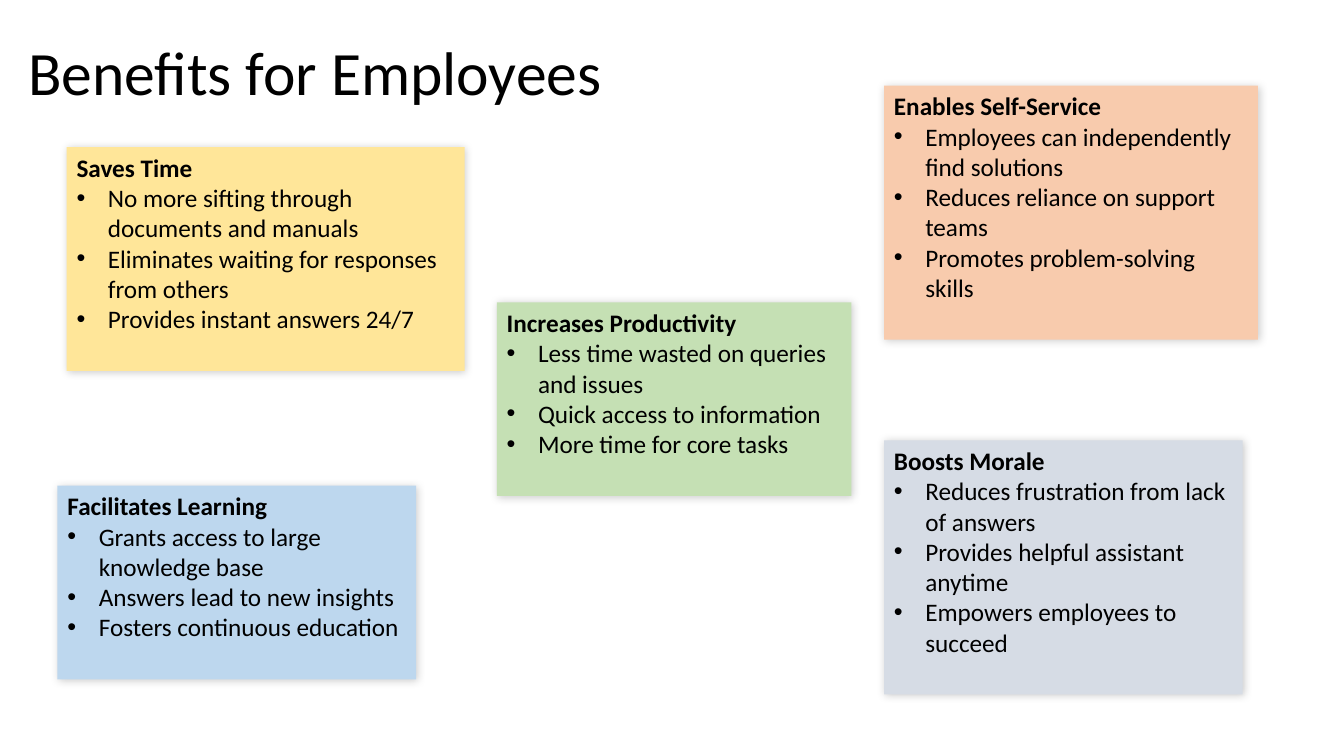
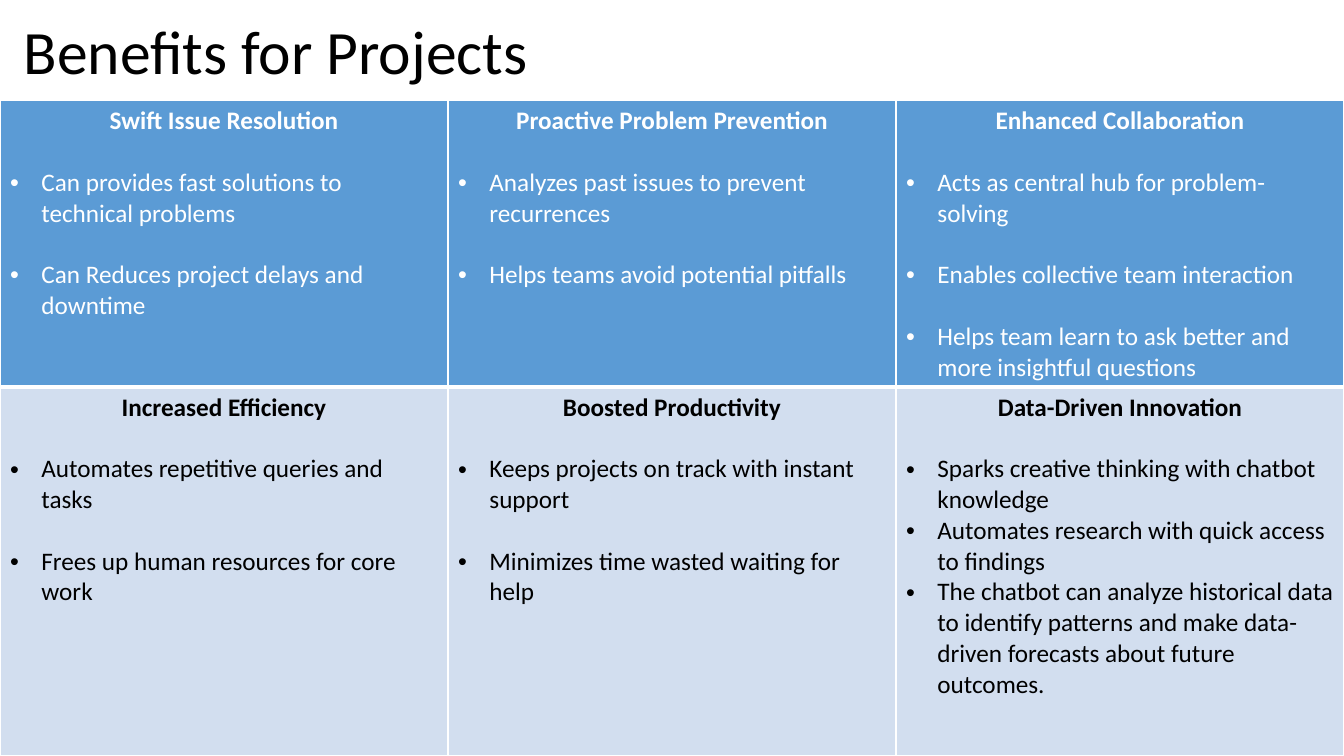
from lxml.etree import SubElement
from pptx import Presentation
from pptx.dml.color import RGBColor
from pptx.enum.shapes import MSO_SHAPE
from pptx.enum.text import MSO_ANCHOR, PP_ALIGN
from pptx.oxml.ns import qn
from pptx.util import Cm, Pt

FONT = "Calibri"
BLACK, WHITE = "000000", "FFFFFF"
BODY_SIZE, TITLE_SIZE = 18, 44
BLANK_LINE = 22  # points, one line of body text
INDENT = Cm(0.79)
PAGE_WIDTH, PAGE_HEIGHT = 33.87, 19.05

# Employee cards: heading, bullets, fill, (left, top, width, height) in cm
EMPLOYEE_TITLE = "Benefits for Employees"
CARDS = [
    ("Saves Time",
     ["No more sifting through documents and manuals",
      "Eliminates waiting for responses from others",
      "Provides instant answers 24/7"],
     "FFE699", (1.68, 3.71, 10.03, 5.64)),
    ("Enables Self-Service",
     ["Employees can independently find solutions",
      "Reduces reliance on support teams",
      "Promotes problem-solving skills"],
     "F8CBAD", (22.28, 2.16, 9.42, 6.4)),
    ("Facilitates Learning",
     ["Grants access to large knowledge base",
      "Answers lead to new insights",
      "Fosters continuous education"],
     "BDD7EE", (1.45, 12.24, 9.04, 4.88)),
    ("Increases Productivity",
     ["Less time wasted on queries and issues",
      "Quick access to information",
      "More time for core tasks"],
     "C5E0B4", (12.52, 7.62, 8.94, 4.88)),
    ("Boosts Morale",
     ["Reduces frustration from lack of answers",
      "Provides helpful assistant anytime",
      "Empowers employees to succeed"],
     "D6DCE5", (22.28, 11.1, 9.04, 6.4)),
]

# Project table rows: fill, text colour, height in cm,
# cells of (heading, bullets, points between bullets)
PROJECT_TITLE = "Benefits for Projects"
TABLE_TOP = 2.54
TABLE_ROWS = [
    ("5B9BD5", WHITE, 7.22, [
        ("Swift Issue Resolution",
         ["Can provides fast solutions to technical problems",
          "Can Reduces project delays and downtime"], BLANK_LINE),
        ("Proactive Problem Prevention",
         ["Analyzes past issues to prevent recurrences",
          "Helps teams avoid potential pitfalls"], BLANK_LINE),
        ("Enhanced Collaboration",
         ["Acts as central hub for problem-solving",
          "Enables collective team interaction",
          "Helps team learn to ask better and more insightful questions"],
         BLANK_LINE),
    ]),
    ("D2DEEF", BLACK, 9.29, [
        ("Increased Efficiency",
         ["Automates repetitive queries and tasks",
          "Frees up human resources for core work"], BLANK_LINE),
        ("Boosted Productivity",
         ["Keeps projects on track with instant support",
          "Minimizes time wasted waiting for help"], BLANK_LINE),
        ("Data-Driven Innovation",
         ["Sparks creative thinking with chatbot knowledge",
          "Automates research with quick access to findings",
          "The chatbot can analyze historical data to identify patterns and "
          "make data-driven forecasts about future outcomes."], 0),
    ]),
]


def rgb(value):
    return RGBColor.from_string(value)


def paint(target, color):
    target.fill.solid()
    target.fill.fore_color.rgb = rgb(color)


def style(para, size, color, bold=False, align=PP_ALIGN.LEFT):
    para.alignment = align
    font = para.font
    font.name, font.size, font.bold = FONT, Pt(size), bold
    font.color.rgb = rgb(color)


def add_bullet(para):
    props = para._p.get_or_add_pPr()
    props.set("marL", str(INDENT))
    props.set("indent", str(-INDENT))
    SubElement(props, qn("a:buFont"), typeface="Arial")
    SubElement(props, qn("a:buChar"), char="•")


def write_list(frame, heading, bullets, color, align=PP_ALIGN.LEFT,
               first_gap=0, gap=0):
    """Fill a text frame with a bold heading and its bullets."""
    para = frame.paragraphs[0]
    para.text = heading
    style(para, BODY_SIZE, color, True, align)
    for index, bullet in enumerate(bullets):
        para = frame.add_paragraph()
        para.text = bullet
        add_bullet(para)
        para.space_before = Pt(gap if index else first_gap)
        style(para, BODY_SIZE, color)


def add_page(deck, title, left, top):
    page = deck.slides.add_slide(deck.slide_layouts[6])
    box = page.shapes.add_textbox(Cm(left), Cm(top), Cm(29.21), Cm(2.31))
    frame = box.text_frame
    frame.word_wrap = True
    frame.vertical_anchor = MSO_ANCHOR.MIDDLE
    para = frame.paragraphs[0]
    para.text = title
    para.line_spacing = 0.9
    style(para, TITLE_SIZE, BLACK)
    return page


def add_soft_shadow(shape):
    shape.shadow.inherit = False
    effects = shape._element.spPr.find(qn("a:effectLst"))
    shadow = SubElement(effects, qn("a:outerShdw"), blurRad=str(Pt(6)),
                        dist=str(Pt(1)), dir=str(45 * 60000),
                        algn="tl", rotWithShape="0")
    color = SubElement(shadow, qn("a:srgbClr"), val=BLACK)
    SubElement(color, qn("a:alpha"), val="20000")


def add_card(page, heading, bullets, fill, place):
    card = page.shapes.add_shape(MSO_SHAPE.RECTANGLE, *map(Cm, place))
    paint(card, fill)
    card.line.fill.background()
    add_soft_shadow(card)
    card.text_frame.vertical_anchor = MSO_ANCHOR.TOP
    write_list(card.text_frame, heading, bullets, BLACK)


def add_borders(cell, top, bottom):
    props = cell._tc.get_or_add_tcPr()
    for side, width in (("L", 1), ("R", 1), ("T", top), ("B", bottom)):
        line = SubElement(props, qn(f"a:ln{side}"), w=str(Pt(width)))
        fill = SubElement(line, qn("a:solidFill"))
        SubElement(fill, qn("a:srgbClr"), val=WHITE)


def add_project_table(page):
    columns = len(TABLE_ROWS[0][3])
    height = sum(row[2] for row in TABLE_ROWS)
    table = page.shapes.add_table(len(TABLE_ROWS), columns, 0, Cm(TABLE_TOP),
                                  Cm(PAGE_WIDTH), Cm(height)).table
    table.horz_banding = False
    for row, (fill, color, row_height, cells) in enumerate(TABLE_ROWS):
        table.rows[row].height = Cm(row_height)
        for column, (heading, bullets, gap) in enumerate(cells):
            cell = table.cell(row, column)
            # A thick rule separates the two rows
            add_borders(cell, top=3 if row else 1, bottom=1 if row else 3)
            paint(cell, fill)
            write_list(cell.text_frame, heading, bullets, color,
                       PP_ALIGN.CENTER, BLANK_LINE, gap)


def main():
    deck = Presentation()
    deck.slide_width, deck.slide_height = Cm(PAGE_WIDTH), Cm(PAGE_HEIGHT)

    # Benefits for employees
    page = add_page(deck, EMPLOYEE_TITLE, 0.46, 0.76)
    for card in CARDS:
        add_card(page, *card)

    # Benefits for projects
    page = add_page(deck, PROJECT_TITLE, 0.35, 0.23)
    add_project_table(page)

    deck.save("out.pptx")


if __name__ == "__main__":
    main()
